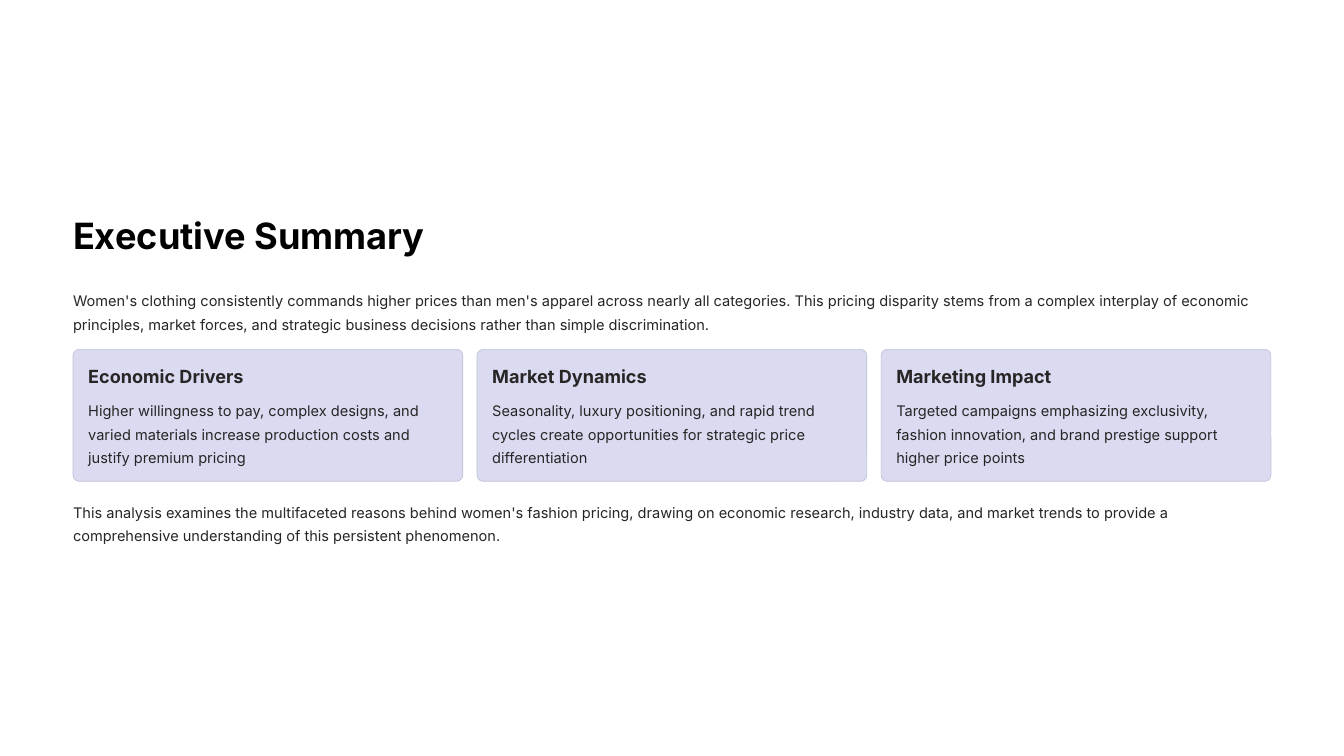
import dataclasses

import pptx
import pptx.dml.color
import pptx.enum.shapes
import pptx.enum.text
import pptx.util


@dataclasses.dataclass(frozen=True)
class TextStyle:
    size: float
    leading: float
    color: str
    bold: bool = False
    wrap: bool = True


@dataclasses.dataclass(frozen=True)
class Theme:
    font: str = "Inter"
    background: str = "FFFFFF"
    card_fill: str = "DADBF1"
    card_line: str = "C0C1D7"
    card_line_width: float = 0.6
    card_rounding: float = 0.046
    title: TextStyle = TextStyle(31, 39, "000000", bold=True, wrap=False)
    heading: TextStyle = TextStyle(15.5, 19.5, "272525", bold=True, wrap=False)
    body: TextStyle = TextStyle(12.5, 20, "272525")


WIDTH, HEIGHT = 16, 9
MARGIN, GUTTER, COLUMNS = 0.87, 0.17, 3
COLUMN_WIDTH = (WIDTH - 2 * MARGIN - (COLUMNS - 1) * GUTTER) / COLUMNS
CARD_TOP, CARD_HEIGHT, CARD_PADDING = 4.16, 1.57, 0.18

INTRO = (
    "Women's clothing consistently commands higher prices than men's apparel across "
    "nearly all categories. This pricing disparity stems from a complex interplay of "
    "economic principles, market forces, and strategic business decisions rather than "
    "simple discrimination."
)
CARDS = [
    ("Economic Drivers",
     "Higher willingness to pay, complex designs, and varied materials increase "
     "production costs and justify premium pricing"),
    ("Market Dynamics",
     "Seasonality, luxury positioning, and rapid trend cycles create opportunities "
     "for strategic price differentiation"),
    ("Marketing Impact",
     "Targeted campaigns emphasizing exclusivity, fashion innovation, and brand "
     "prestige support higher price points"),
]
CLOSING = (
    "This analysis examines the multifaceted reasons behind women's fashion pricing, "
    "drawing on economic research, industry data, and market trends to provide a "
    "comprehensive understanding of this persistent phenomenon."
)


def rgb(color):
    return pptx.dml.color.RGBColor.from_string(color)


class SlideBuilder:
    def __init__(self, slide, theme):
        self.slide = slide
        self.theme = theme
        fill = slide.background.fill
        fill.solid()
        fill.fore_color.rgb = rgb(theme.background)

    def frame(self, column, span, top, height, padding=0):
        """Return left, top, width and height for a span of grid columns."""
        left = MARGIN + column * (COLUMN_WIDTH + GUTTER) + padding
        width = span * COLUMN_WIDTH + (span - 1) * GUTTER - 2 * padding
        return [pptx.util.Inches(length) for length in (left, top, width, height)]

    def text(self, words, style, column, span, top, height, padding=0):
        box = self.slide.shapes.add_textbox(
            *self.frame(column, span, top, height, padding))
        text_frame = box.text_frame
        text_frame.margin_left = text_frame.margin_right = 0
        text_frame.margin_top = text_frame.margin_bottom = 0
        text_frame.word_wrap = style.wrap
        paragraph = text_frame.paragraphs[0]
        paragraph.text = words
        paragraph.alignment = pptx.enum.text.PP_ALIGN.LEFT
        paragraph.line_spacing = pptx.util.Pt(style.leading)
        paragraph.font.name = self.theme.font
        paragraph.font.size = pptx.util.Pt(style.size)
        paragraph.font.bold = style.bold
        paragraph.font.color.rgb = rgb(style.color)

    def card(self, column, heading, body):
        theme = self.theme
        shape = self.slide.shapes.add_shape(
            pptx.enum.shapes.MSO_SHAPE.ROUNDED_RECTANGLE,
            *self.frame(column, 1, CARD_TOP, CARD_HEIGHT))
        shape.adjustments[0] = theme.card_rounding
        shape.shadow.inherit = False
        shape.fill.solid()
        shape.fill.fore_color.rgb = rgb(theme.card_fill)
        shape.line.color.rgb = rgb(theme.card_line)
        shape.line.width = pptx.util.Pt(theme.card_line_width)
        heading_top = CARD_TOP + CARD_PADDING
        self.text(heading, theme.heading, column, 1, heading_top, 0.27, CARD_PADDING)
        self.text(body, theme.body, column, 1, heading_top + 0.38, 0.83, CARD_PADDING)


def main():
    presentation = pptx.Presentation()
    presentation.slide_width = pptx.util.Inches(WIDTH)
    presentation.slide_height = pptx.util.Inches(HEIGHT)
    theme = Theme()
    slide = presentation.slides.add_slide(presentation.slide_layouts[6])
    builder = SlideBuilder(slide, theme)

    builder.text("Executive Summary", theme.title, 0, 1, 2.52, 0.54)
    builder.text(INTRO, theme.body, 0, COLUMNS, 3.41, 0.56)
    for column, (heading, body) in enumerate(CARDS):
        builder.card(column, heading, body)
    builder.text(CLOSING, theme.body, 0, COLUMNS, 5.93, 0.56)

    presentation.save("out.pptx")


if __name__ == "__main__":
    main()
